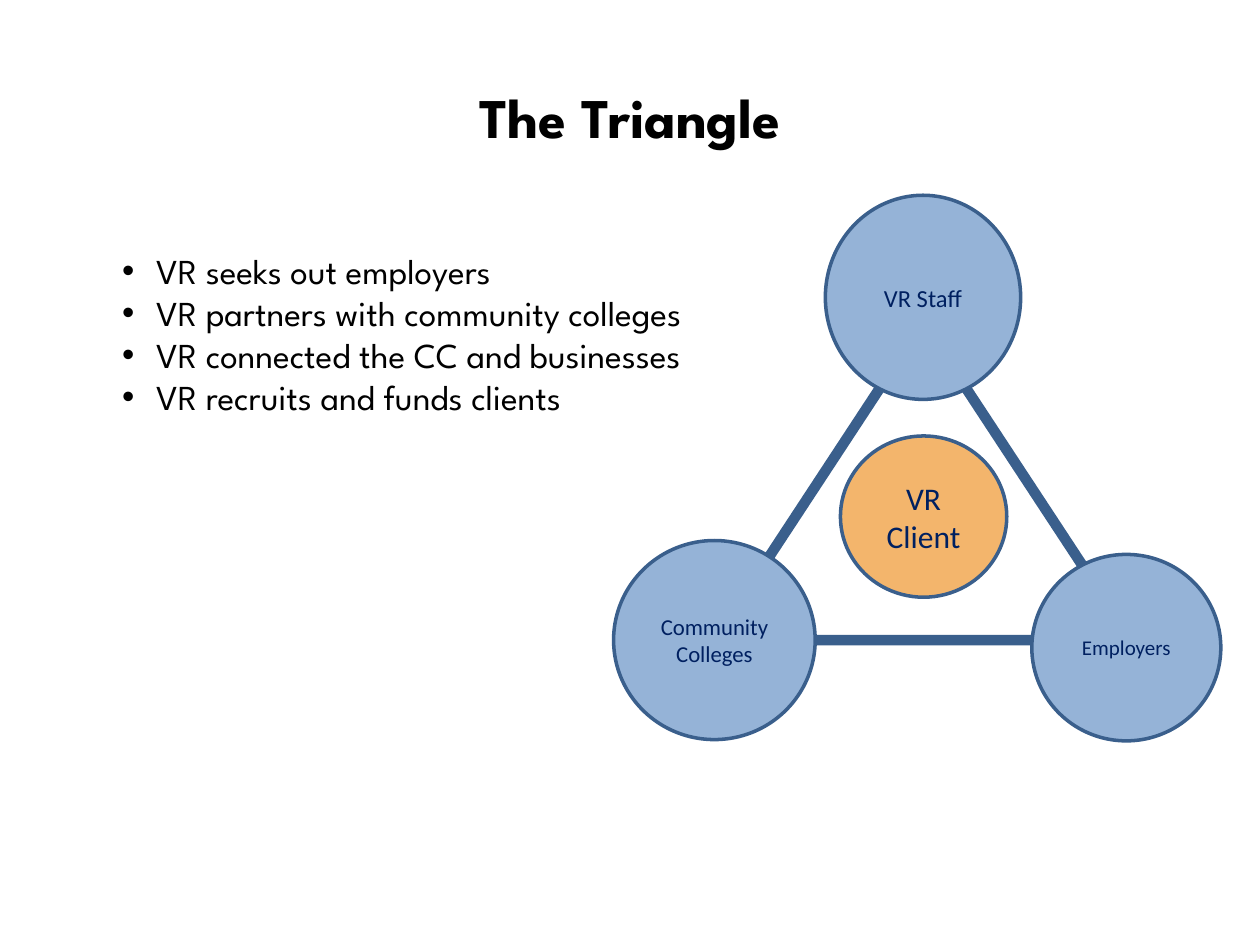
from lxml import etree
from pptx import Presentation
from pptx.dml.color import RGBColor
from pptx.enum.shapes import MSO_SHAPE
from pptx.enum.text import MSO_ANCHOR, MSO_AUTO_SIZE, PP_ALIGN
from pptx.oxml.ns import qn
from pptx.util import Pt

TRIANGLE, ELLIPSE = MSO_SHAPE.ISOSCELES_TRIANGLE, MSO_SHAPE.OVAL
MIDDLE, TOP = MSO_ANCHOR.MIDDLE, MSO_ANCHOR.TOP
CENTER, LEFT = PP_ALIGN.CENTER, PP_ALIGN.LEFT
NO_AUTOFIT = MSO_AUTO_SIZE.NONE
TITLE_ONLY = 5

COLORS = {
    "white": "FFFFFF",
    "black": "000000",
    "outline": "3A5F8C",
    "partner": "95B3D7",
    "client": "F3B56C",
    "label": "002060",
}
HEADING_FONT = "League Spartan"
LABEL_FONT = "Calibri"
PLACEHOLDER_MARGINS = {"margin_left": 33.84, "margin_right": 33.84,
                       "margin_top": 16.56, "margin_bottom": 16.56}
BULLET_INDENT = 19.44

BULLETS = [
    "VR seeks out employers",
    "VR partners with community colleges",
    "VR connected the CC and businesses",
    "VR recruits and funds clients",
]
CIRCLES = [
    ("VR Staff", 14, "partner", (121, 0, 111.6, 116.64)),
    ("VR Client", 18, "client", (129.6, 137.5, 95.04, 92.16)),
    ("Community Colleges", 13, "partner", (0, 197.3, 115.2, 113.76)),
    ("Employers", 12, "partner", (239, 205.2, 108, 106.56)),
]


def color(name):
    return RGBColor.from_string(COLORS[name])


def set_attributes(target, values):
    for name, value in values.items():
        setattr(target, name, value)


def set_box(shape, box):
    set_attributes(shape, dict(zip(("left", "top", "width", "height"), map(Pt, box))))


def format_frame(frame, anchor, margins):
    set_attributes(frame, {"word_wrap": True, "auto_size": NO_AUTOFIT,
                           "vertical_anchor": anchor})
    set_attributes(frame, {name: Pt(value) for name, value in margins.items()})


def format_paragraph(paragraph, alignment, font, size, color_name, bold=False):
    paragraph.alignment = alignment
    set_attributes(paragraph.font, {"name": font, "size": Pt(size), "bold": bold})
    paragraph.font.color.rgb = color(color_name)


def add_bullet(paragraph):
    properties = paragraph._p.get_or_add_pPr()
    properties.set("marL", str(Pt(BULLET_INDENT)))
    properties.set("indent", str(-Pt(BULLET_INDENT)))
    etree.SubElement(properties, qn("a:buFont"), typeface="Arial")
    etree.SubElement(properties, qn("a:buChar"), char="•")


def add_title(slide, box, text):
    title = slide.shapes.title
    set_box(title, box)
    title.text_frame.text = text
    format_frame(title.text_frame, MIDDLE, PLACEHOLDER_MARGINS)
    format_paragraph(title.text_frame.paragraphs[0], CENTER, HEADING_FONT, 32, "black", True)


def add_bullets(slide, box, lines):
    frame = slide.shapes.add_textbox(*map(Pt, box)).text_frame
    format_frame(frame, TOP, PLACEHOLDER_MARGINS)
    frame.text = "\n".join(lines)
    for paragraph in frame.paragraphs:
        add_bullet(paragraph)
        format_paragraph(paragraph, LEFT, HEADING_FONT, 20, "black")


def add_outlined_shape(shapes, kind, box, fill, line_width):
    shape = shapes.add_shape(kind, *map(Pt, box))
    shape.shadow.inherit = False
    shape.fill.solid()
    shape.fill.fore_color.rgb = color(fill)
    shape.line.color.rgb = color("outline")
    shape.line.width = Pt(line_width)
    return shape


def add_diagram(slide, box):
    left, top, width, height = box
    shapes = slide.shapes.add_group_shape().shapes
    triangle_box = (left + 57.6, top + 72.7, 238.32, 181.44)
    add_outlined_shape(shapes, TRIANGLE, triangle_box, "white", 6)
    for text, size, fill, (x, y, circle_width, circle_height) in CIRCLES:
        circle_box = (left + x, top + y, circle_width, circle_height)
        circle = add_outlined_shape(shapes, ELLIPSE, circle_box, fill, 2)
        circle.text_frame.text = text
        format_frame(circle.text_frame, MIDDLE, {})
        format_paragraph(circle.text_frame.paragraphs[0], CENTER, LABEL_FONT, size, "label")


def main():
    presentation = Presentation()
    set_attributes(presentation, {"slide_width": Pt(720), "slide_height": Pt(540)})
    slide = presentation.slides.add_slide(presentation.slide_layouts[TITLE_ONLY])
    add_title(slide, (36, 21.6, 648, 90), "The Triangle")
    add_bullets(slide, (36, 126, 648, 356.4), BULLETS)
    add_diagram(slide, (350.64, 111.6, 347, 311.76))
    presentation.save("out.pptx")


if __name__ == "__main__":
    main()
